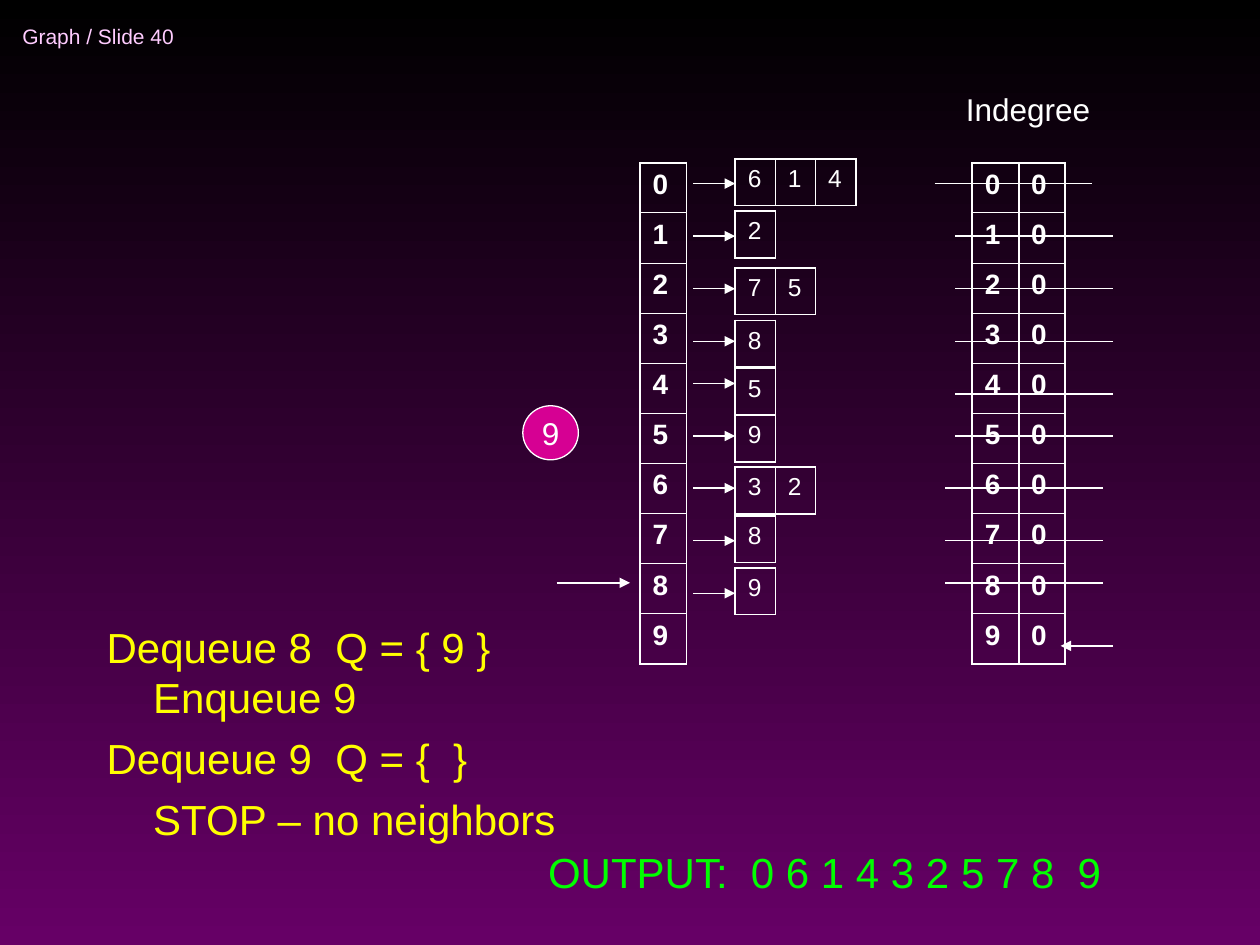
from lxml.etree import SubElement as Sub
from pptx import Presentation
from pptx.dml.color import RGBColor as RGB
from pptx.enum.shapes import MSO_CONNECTOR as Link, MSO_SHAPE as Shape
from pptx.enum.text import MSO_ANCHOR as Anchor, PP_ALIGN as Align
from pptx.oxml import parse_xml
from pptx.oxml.ns import nsdecls, qn
from pptx.util import Cm, Pt

WHITE = "FFFFFF"
THICK, THIN = 1.08, 0.45
LISTS = [
    ("614", 3.2, 3.7), ("2", 4.26, 4.76), ("75", 5.4, 5.82),
    ("8", 6.46, 6.88), ("5", 7.43, 7.73), ("9", 8.37, 8.79),
    ("32", 9.42, 9.84), ("8", 10.4, 10.9), ("9", 11.45, 11.96),
]
STRIKES = [
    (18.84, 3.7), (19.26, 4.76), (19.26, 5.82), (19.26, 6.88), (19.26, 7.94),
    (19.26, 8.79), (19.05, 9.84), (19.05, 10.9), (19.05, 11.75),
]


def tint(code):
    return RGB.from_string(code)


def style(frame, size, color, bold=False):
    for para in frame.paragraphs:
        for run in para.runs:
            font = run.font
            font.name, font.size, font.bold = "Arial", Pt(size), bold
            font.color.rgb = tint(color)


def paint(slide):
    fill = slide.background.fill
    fill.gradient()
    fill.gradient_angle = 270
    for stop, code in zip(fill.gradient_stops, ("000000", "660066")):
        stop.color.rgb = tint(code)


def label(slide, text, box, size, color):
    frame = slide.shapes.add_textbox(*map(Cm, box)).text_frame
    frame.word_wrap = True
    frame.text = text
    style(frame, size, color)
    return frame


def steps(slide):
    text = "Dequeue 8  Q = { 9 }\nEnqueue 9\nDequeue 9  Q = {  }\nSTOP – no neighbors"
    frame = label(slide, text, (1.9, 12.4, 9.6, 4.75), 24, "FFFF00")
    for para in frame.paragraphs[1::2]:
        para._p.get_or_add_pPr().set("marL", str(Cm(0.94)))
    for para in frame.paragraphs[2:]:
        para.space_before = Pt(6)


def node(slide, text, box):
    shape = slide.shapes.add_shape(Shape.OVAL, *map(Cm, box))
    shape.shadow.inherit = False
    shape.fill.solid()
    shape.fill.fore_color.rgb = tint("D60093")
    shape.line.color.rgb = tint(WHITE)
    shape.line.width = Pt(0.75)
    frame = shape.text_frame
    frame.word_wrap = False
    frame.vertical_anchor = Anchor.MIDDLE
    frame.text = text
    frame.paragraphs[0].alignment = Align.CENTER
    style(frame, 18, WHITE)


def line(slide, start, end, y, head=True):
    link = slide.shapes.add_connector(Link.STRAIGHT, Cm(start), Cm(y), Cm(end), Cm(y))
    link.line.color.rgb = tint(WHITE)
    link.line.width = Pt(0.75)
    if head:
        Sub(link.line._get_or_add_ln(), qn("a:tailEnd"), type="triangle")
    Sub(link._element.spPr, qn("a:effectLst"))


def edge(cell, sides):
    props = cell._tc.get_or_add_tcPr()
    for spot, (side, width) in enumerate(sides.items()):
        props.insert(spot, parse_xml(
            f'<a:ln{side} {nsdecls("a")} w="{Pt(width)}"><a:solidFill>'
            f'<a:srgbClr val="{WHITE}"/></a:solidFill></a:ln{side}>'))


def grid(slide, rows, left, top, wide, high, size, bold=False):
    last, count = len(rows) - 1, len(rows[0])
    table = slide.shapes.add_table(
        last + 1, count, Cm(left), Cm(top), Cm(wide * count), Cm(high * (last + 1))).table
    table.first_row = table.horz_banding = False
    for col in table.columns:
        col.width = Cm(wide)
    for r, row in enumerate(rows):
        table.rows[r].height = Cm(high)
        for c, text in enumerate(row):
            cell = table.cell(r, c)
            cell.text = text
            cell.fill.background()
            style(cell.text_frame, size, WHITE, bold)
            edge(cell, {"L": THICK, "R": THICK,
                        "T": THICK if r == 0 else THIN,
                        "B": THICK if r == last else THIN})


def main():
    deck = Presentation()
    deck.slide_width, deck.slide_height = Cm(25.4), Cm(19.05)
    slide = deck.slides.add_slide(deck.slide_layouts[6])
    paint(slide)

    head = label(slide, "Graph / Slide 40", (0.2, 0.2, 7, 1.07), 12, "FFCCFF")
    head.vertical_anchor = Anchor.MIDDLE
    node(slide, "9", (10.54, 8.18, 1.12, 1.09))

    for left, digits in ((12.9, "0123456789"), (19.6, "0123456789"), (20.53, "0" * 10)):
        grid(slide, digits, left, 3.28, 0.94, 1.01, 16, True)
    for items, top, y in LISTS:
        line(slide, 13.97, 14.82, y)
        grid(slide, [items], 14.82, top, 0.81, 0.94, 14)

    label(slide, "Indegree", (19.22, 1.7, 3.2, 1.02), 18, WHITE)
    steps(slide)
    label(slide, "OUTPUT:  0 6 1 4 3 2 5 7 8  9", (10.8, 16.93, 12.78, 1.28), 24, "00FF00")

    for left, y in STRIKES:
        line(slide, left, left + 3.18, y, False)
    line(slide, 11.22, 12.7, 11.75)
    line(slide, 22.44, 21.38, 13.02)
    deck.save("out.pptx")


if __name__ == "__main__":
    main()
